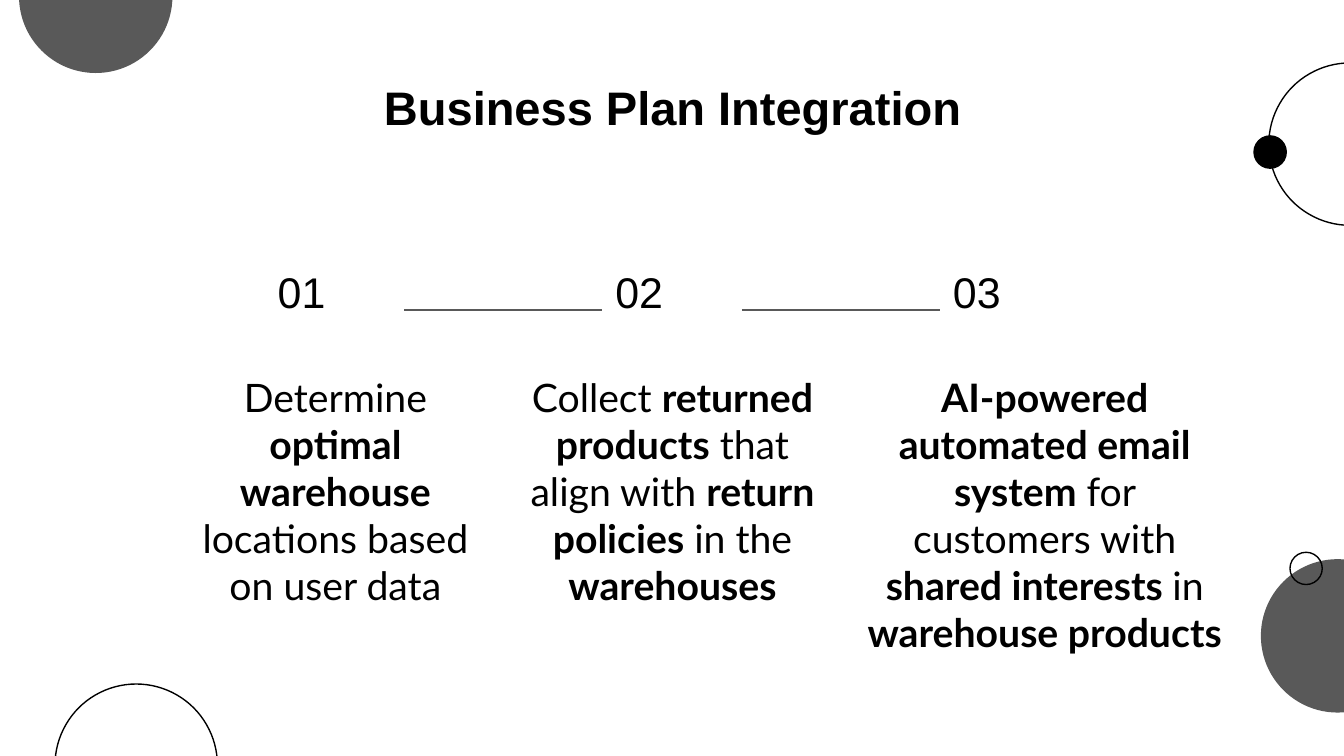
"""Build the Business Plan Integration slide with three numbered steps."""
from typing import NamedTuple, Optional

from lxml import etree
from pptx import Presentation
from pptx.dml.color import RGBColor
from pptx.enum.shapes import MSO_CONNECTOR, MSO_SHAPE
from pptx.enum.text import MSO_ANCHOR, PP_ALIGN
from pptx.oxml.ns import qn
from pptx.util import Cm, Pt

OVAL = MSO_SHAPE.OVAL
STRAIGHT = MSO_CONNECTOR.STRAIGHT
TOP = MSO_ANCHOR.TOP
LEFT, CENTER = PP_ALIGN.LEFT, PP_ALIGN.CENTER
BLACK = RGBColor(0x00, 0x00, 0x00)
GRAY = RGBColor(0x59, 0x59, 0x59)
WHITE = RGBColor(0xFF, 0xFF, 0xFF)
RIGHT_SITE, LEFT_SITE = 3, 1
NUMBER_LEFT, NUMBER_STEP = 5.0, 6.38
LINE_WIDTH = Pt(0.75)


class Run(NamedTuple):
    text: str
    bold: bool = False


class Circle(NamedTuple):
    left: float
    top: float
    size: float
    fill: Optional[RGBColor] = None
    line: Optional[RGBColor] = None


class Box(NamedTuple):
    left: float
    top: float
    width: float
    height: float


class Step(NamedTuple):
    box: Box
    runs: list[Run]


CIRCLES = [
    Circle(0.36, -1.52, 2.9, fill=GRAY),
    Circle(1.04, 12.93, 3.07, line=BLACK),
    Circle(23.83, 10.57, 2.9, fill=GRAY),
    Circle(24.38, 10.44, 0.61, line=BLACK),
    Circle(23.98, 1.19, 3.07, line=BLACK),
    Circle(23.7, 2.57, 0.61, fill=BLACK, line=BLACK),
]

STEPS = [
    Step(Box(3.38, 6.81, 5.92, 1.24), [
        Run("Determine "),
        Run("optimal warehouse", True),
        Run(" locations based on user data"),
    ]),
    Step(Box(9.75, 6.81, 5.92, 4.9), [
        Run("Collect "),
        Run("returned products", True),
        Run(" that align with "),
        Run("return policies", True),
        Run(" in the "),
        Run("warehouses", True),
    ]),
    Step(Box(16.1, 6.81, 7.29, 1.24), [
        Run("AI-powered automated email system", True),
        Run(" for customers with "),
        Run("shared interests ", True),
        Run("in "),
        Run("warehouse products", True),
    ]),
]


def add_circle(s, circle: Circle) -> None:
    """Draw a decorative circle with an optional fill and outline."""
    size = Cm(circle.size)
    sp = s.shapes.add_shape(OVAL, Cm(circle.left), Cm(circle.top), size, size)
    sp.shadow.inherit = False
    if circle.fill is None:
        sp.fill.background()
    else:
        sp.fill.solid()
        sp.fill.fore_color.rgb = circle.fill
    if circle.line is None:
        sp.line.fill.background()
    else:
        sp.line.color.rgb = circle.line
        sp.line.width = LINE_WIDTH


def add_text(s, box: Box, runs: list[Run], font: str, size: float, align=CENTER):
    """Add a wrapped one-paragraph text box and return it."""
    sp = s.shapes.add_textbox(*(Cm(length) for length in box))
    tf = sp.text_frame
    tf.word_wrap = True
    tf.vertical_anchor = TOP
    tf.margin_left = tf.margin_right = tf.margin_top = tf.margin_bottom = Cm(0.25)
    p = tf.paragraphs[0]
    p.alignment = align
    for run in runs:
        r = p.add_run()
        r.text = run.text
        r.font.name = font
        r.font.size = Pt(size)
        r.font.bold = run.bold
        r.font.color.rgb = BLACK
    return sp


def join(s, start, end) -> None:
    """Connect the right side of one box to the left side of the next."""
    line = s.shapes.add_connector(STRAIGHT, 0, 0, 0, 0)
    line.begin_connect(start, RIGHT_SITE)
    line.end_connect(end, LEFT_SITE)
    line.line.color.rgb = GRAY
    line.line.width = LINE_WIDTH
    etree.SubElement(line.line._get_or_add_ln().getparent(), qn("a:effectLst"))


def main() -> None:
    """Compose and save the slide."""
    prs = Presentation()
    prs.slide_width, prs.slide_height = Cm(25.4), Cm(14.29)
    s = prs.slides.add_slide(prs.slide_layouts[6])
    s.background.fill.solid()
    s.background.fill.fore_color.rgb = WHITE

    for circle in CIRCLES:
        add_circle(s, circle)

    title = [Run("Business Plan Integration", True)]
    add_text(s, Box(2.01, 1.24, 21.41, 1.6), title, "Arial", 25.2)

    numbers = []
    for i, step in enumerate(STEPS):
        box = Box(NUMBER_LEFT + i * NUMBER_STEP, 4.78, 2.64, 2.16)
        numbers.append(add_text(s, box, [Run(f"{i + 1:02d}")], "Arial", 23, LEFT))
        add_text(s, step.box, step.runs, "Lato", 21)

    for start, end in zip(numbers, numbers[1:]):
        join(s, start, end)

    prs.save("out.pptx")


if __name__ == "__main__":
    main()
